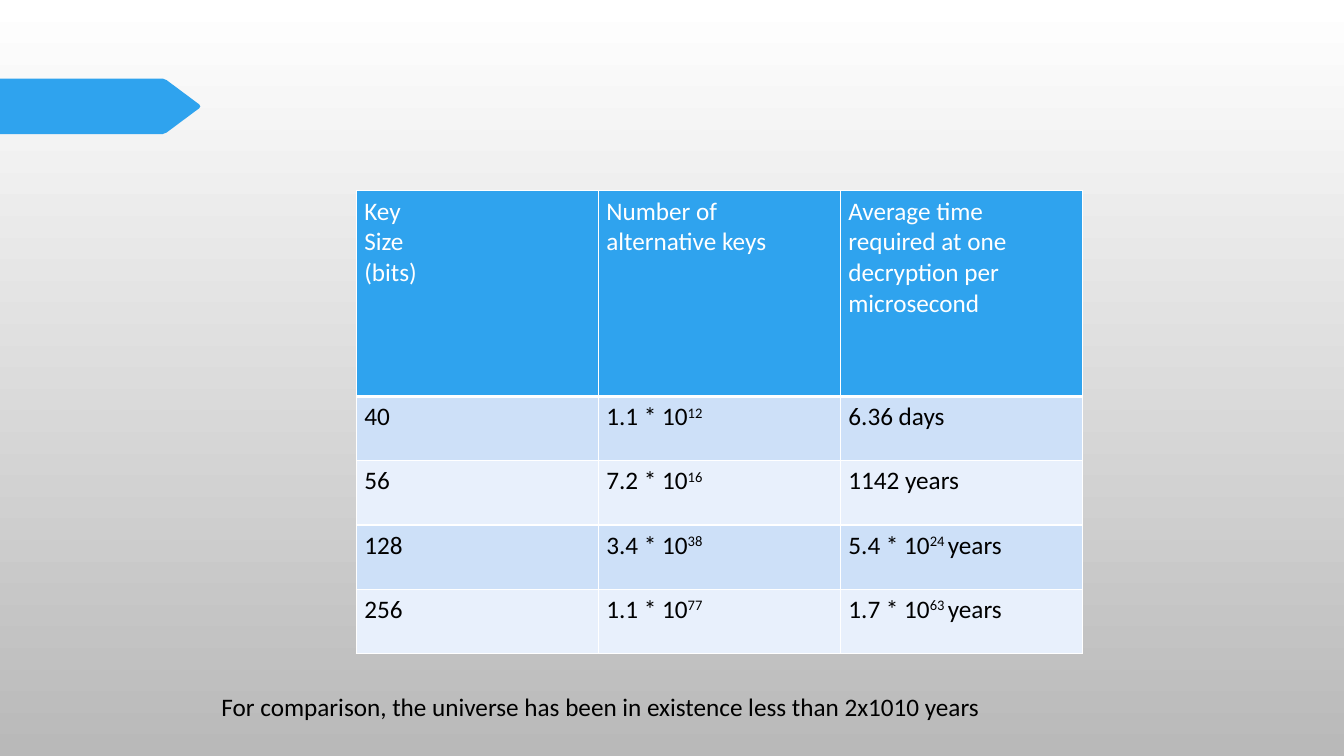
import pptx
import pptx.util
import pptx.dml.color
import pptx.oxml
import pptx.oxml.ns

Cm = pptx.util.Cm
Pt = pptx.util.Pt

HEADS = ["Key\nSize\n(bits)",
         "Number of\nalternative keys",
         "Average time\nrequired at one\ndecryption per\nmicrosecond"]
ROWS = [["40", "1.1 * 10^12", "6.36 days"],
        ["56", "7.2 * 10^16", "1142 years"],
        ["128", "3.4 * 10^38", "5.4 * 10^24 ^years"],
        ["256", "1.1 * 10^77", "1.7 * 10^63 ^years"]]
ARROW = [(0, 1.98), (4.1, 1.98), (4.2, 2.02), (5.02, 2.63), (5.05, 2.68),
         (5.02, 2.73), (4.2, 3.34), (4.1, 3.38), (0, 3.38)]


def color(code):
    return pptx.dml.color.RGBColor.from_string(code)


class Deck:
    font = "Calibri"
    size = 18
    blue = "2FA3EE"
    bands = ["CDE0F8", "E8F0FC"]
    white = "FFFFFF"
    black = "000000"

    def __init__(self, file):
        self.slide = file.slides.add_slide(file.slide_layouts[6])

    def back(self, top, low):
        fill = self.slide.background.fill
        fill.gradient()
        fill.gradient_angle = 270
        for stop, code in zip(fill.gradient_stops, [top, low]):
            stop.color.rgb = color(code)

    def shape(self, points):
        dots = [(Cm(x), Cm(y)) for x, y in points]
        form = self.slide.shapes.build_freeform(*dots[0], scale=1.0)
        form.add_line_segments(dots[1:], close=True)
        item = form.convert_to_shape()
        item.shadow.inherit = False
        item.fill.solid()
        item.fill.fore_color.rgb = color(self.blue)
        item.line.fill.background()

    def label(self, frame, text, code):
        for i, line in enumerate(text.split("\n")):
            para = frame.add_paragraph() if i else frame.paragraphs[0]
            for j, part in enumerate(line.split("^")):
                run = para.add_run()
                run.text = part
                if j % 2:
                    run._r.get_or_add_rPr().set("baseline", "30000")
            para.font.name = self.font
            para.font.size = Pt(self.size)
            para.font.color.rgb = color(code)

    def border(self, cell, low):
        space = pptx.oxml.ns.nsdecls("a")
        props = cell._tc.get_or_add_tcPr()
        for side, width in zip("LRTB", [1, 1, 1, low]):
            props.append(pptx.oxml.parse_xml(
                f'<a:ln{side} {space} w="{Pt(width)}"><a:solidFill>'
                f'<a:srgbClr val="{self.white}"/></a:solidFill></a:ln{side}>'))

    def cell(self, cell, text, fill, code, low):
        cell.margin_left = cell.margin_right = Cm(0.2)
        cell.margin_top = cell.margin_bottom = Cm(0.13)
        self.border(cell, low)
        cell.fill.solid()
        cell.fill.fore_color.rgb = color(fill)
        self.label(cell.text_frame, text, code)

    def table(self, left, top, width, head, step):
        data = [HEADS] + ROWS
        grid = self.slide.shapes.add_table(
            len(data), len(HEADS), Cm(left), Cm(top),
            Cm(width * len(HEADS)), Cm(head + step * len(ROWS))).table
        grid.first_row = grid.horz_banding = False
        for col in grid.columns:
            col.width = Cm(width)
        for i, row in enumerate(data):
            grid.rows[i].height = Cm(step if i else head)
            fill = self.bands[(i - 1) % 2] if i else self.blue
            code = self.black if i else self.white
            for j, text in enumerate(row):
                self.cell(grid.cell(i, j), text, fill, code, 1 if i else 3)

    def note(self, text, left, top, width, height):
        box = self.slide.shapes.add_textbox(
            Cm(left), Cm(top), Cm(width), Cm(height))
        box.text_frame.word_wrap = True
        self.label(box.text_frame, text, self.black)


def main():
    file = pptx.Presentation()
    file.slide_width = Cm(33.87)
    file.slide_height = Cm(19.05)
    deck = Deck(file)
    deck.back("FFFFFF", "B9B9B9")
    deck.shape(ARROW)
    deck.table(8.98, 4.81, 6.1, 5.18, 1.62)
    deck.note("For comparison, the universe has been in existence "
              "less than 2x1010 years", 5.33, 17.3, 23.8, 1.02)
    file.save("out.pptx")


if __name__ == "__main__":
    main()
